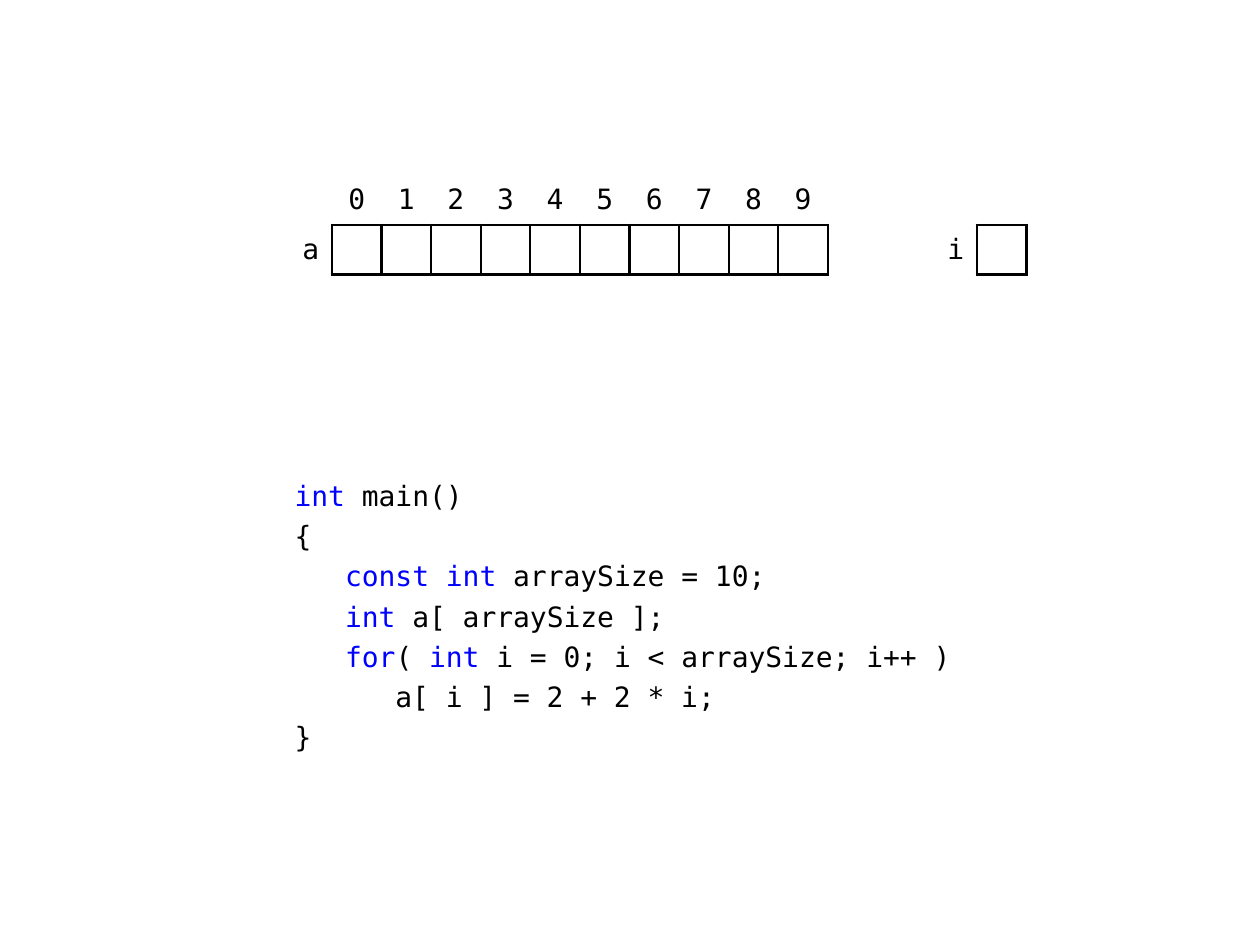
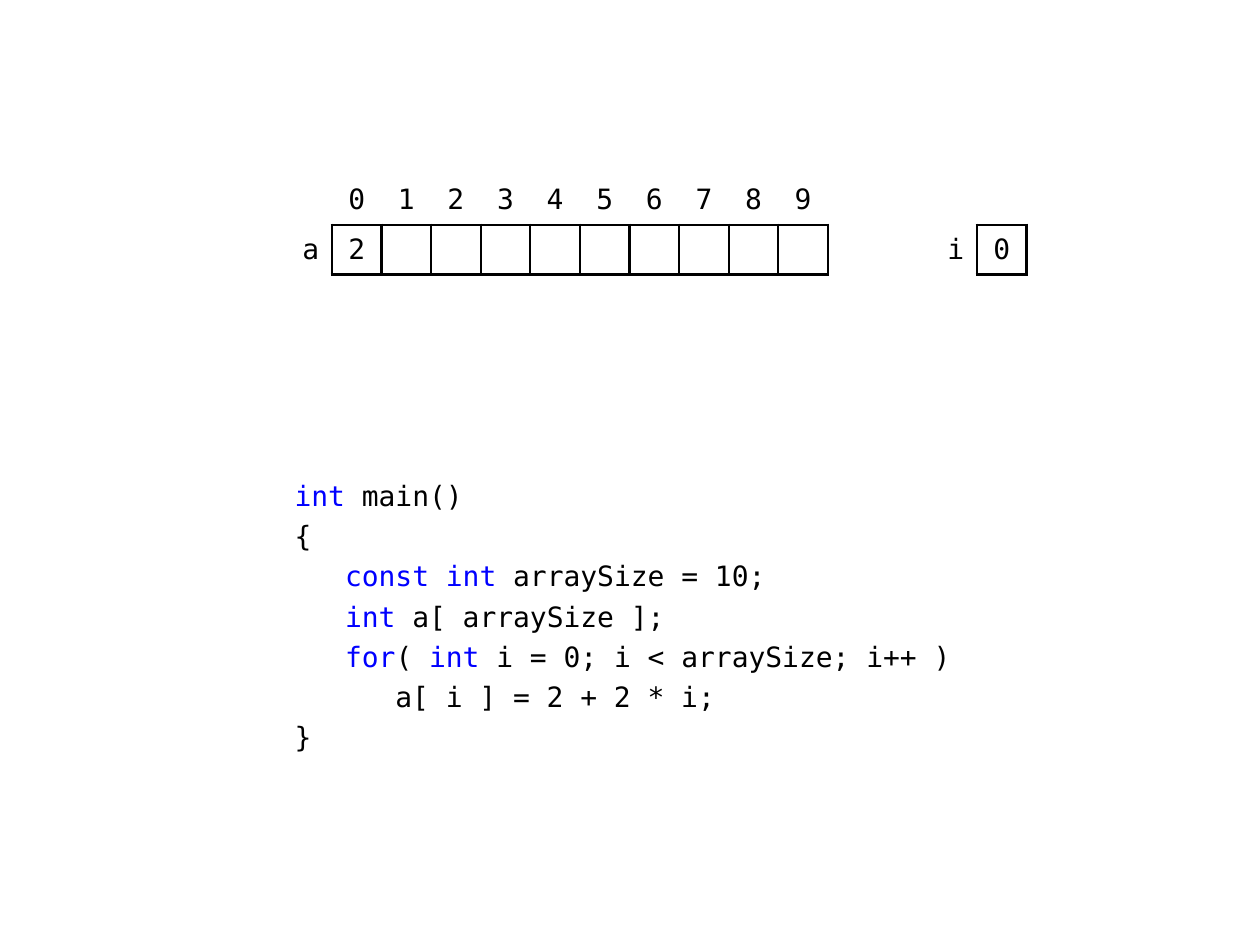
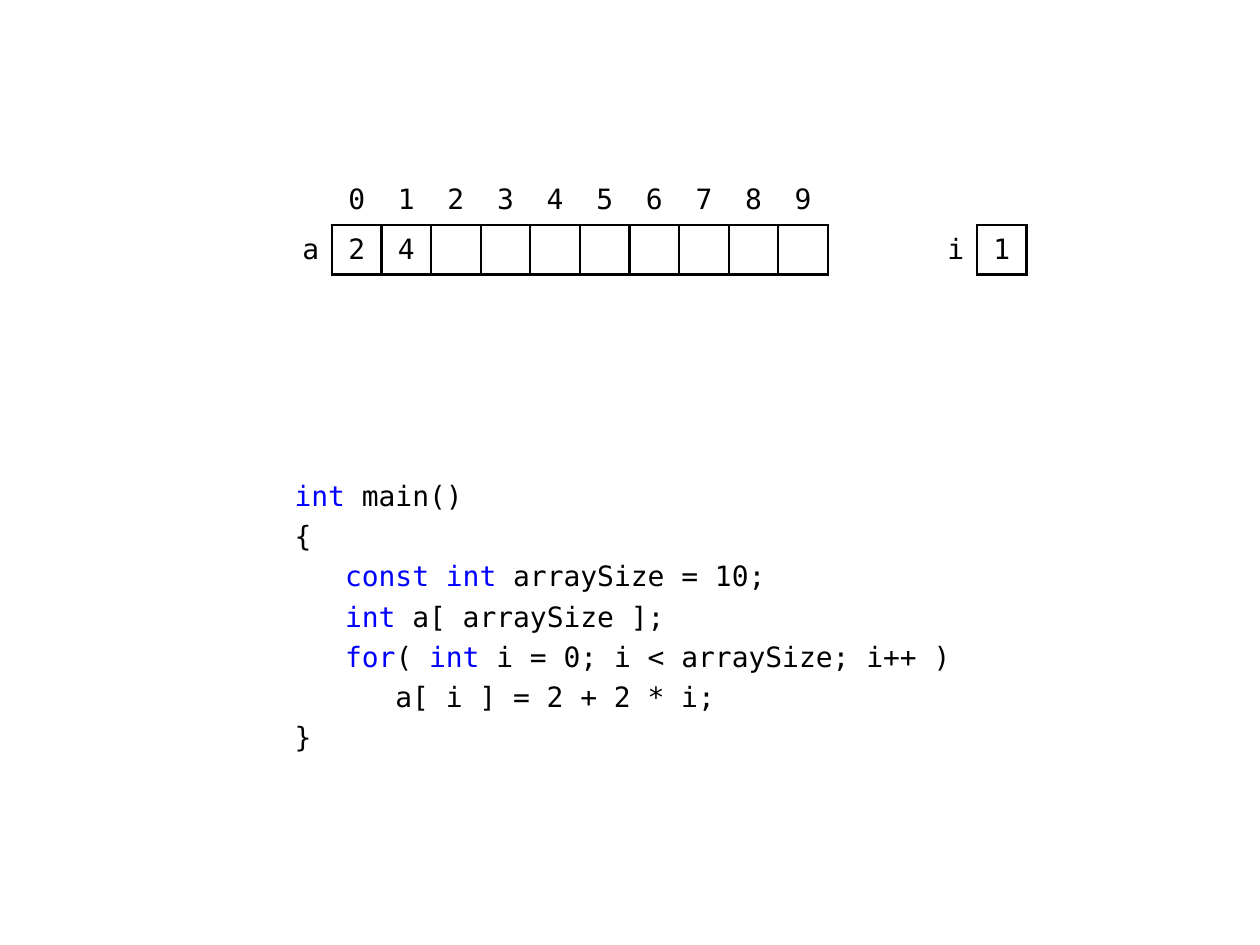
"""Three steps of filling an array in a loop."""
import pptx
import pptx.dml.color
import pptx.enum.text
import pptx.oxml
import pptx.oxml.ns
import pptx.util

Inches = pptx.util.Inches
Pt = pptx.util.Pt
ALIGN = pptx.enum.text.PP_ALIGN

COLORS = {"text": "000000", "key": "0000FF"}
FONT = "DejaVu Sans Mono"
LEFT = 2.24
SIZE = 10           # elements in the array
UNIT = 5.91 / 15    # side of one square cell
GAP = 3             # width of the "i" label column, in units
LABEL, BOX = SIZE + 1, SIZE + 2
NO_GRID = "{2D5ABB26-0587-4C30-8999-92F81FD0307C}"

# Indent level and text; keywords stand between tildes.
CODE = [
    (0, "~int~ main()"),
    (0, "{"),
    (1, "~const int~ arraySize = 10;"),
    (1, "~int~ a[ arraySize ];"),
    (1, "~for~( ~int~ i = 0; i < arraySize; i++ )"),
    (2, "a[ i ] = 2 + 2 * i;"),
    (0, "}"),
]


def rgb(name):
    """Return a colour of the palette."""
    return pptx.dml.color.RGBColor.from_string(COLORS[name])


def style(para):
    """Give a paragraph the shared font."""
    para.font.name = FONT
    para.font.size = Pt(16)
    para.font.color.rgb = rgb("text")


def add_code(slide):
    """Add the listing with coloured keywords."""
    box = slide.shapes.add_textbox(
        Inches(LEFT), Inches(3.75), Inches(5.51), Inches(2.36))
    frame = box.text_frame
    frame.word_wrap = True
    for row, (level, line) in enumerate(CODE):
        para = frame.add_paragraph() if row else frame.paragraphs[0]
        style(para)
        para.space_before = Pt(3.75)
        para._p.get_or_add_pPr().set("marL", str(Inches(0.4 * level)))
        for part, text in enumerate(line.split("~")):
            if text:
                run = para.add_run()
                run.text = text
                run.font.color.rgb = rgb("key" if part % 2 else "text")


def add_edges(cell, sides):
    """Draw the named sides (L, R, T, B) of a cell."""
    props = cell._tc.get_or_add_tcPr()
    for spot, side in enumerate(sides):
        props.insert(spot, pptx.oxml.parse_xml(
            f'<a:ln{side} {pptx.oxml.ns.nsdecls("a")} w="{Pt(1.5)}">'
            f'<a:solidFill><a:srgbClr val="{COLORS["text"]}"/></a:solidFill>'
            f'</a:ln{side}>'))


def set_cell(cell, text, align, inset, sides):
    """Set the text, margins and borders of a cell."""
    cell.text = text
    cell.vertical_anchor = pptx.enum.text.MSO_ANCHOR.MIDDLE
    cell.margin_left = cell.margin_right = Inches(inset)
    cell.margin_top = cell.margin_bottom = 0
    cell.fill.background()
    para = cell.text_frame.paragraphs[0]
    para.alignment = align
    style(para)
    add_edges(cell, sides)


def add_memory(slide, values, index):
    """Add the array a and the counter i as one table."""
    table = slide.shapes.add_table(
        2, BOX + 1, Inches(LEFT), Inches(1.39),
        Inches(15 * UNIT), Inches(2 * UNIT)).table
    table.first_row = table.horz_banding = False
    table._tbl.tblPr.find(pptx.oxml.ns.qn("a:tableStyleId")).text = NO_GRID
    for row in table.rows:
        row.height = Inches(UNIT)
    heads = ["", *map(str, range(SIZE)), "", ""]
    cells = ["a", *map(str, values), *[""] * (SIZE - len(values)), "i", index]
    for col, (head, text) in enumerate(zip(heads, cells)):
        table.columns[col].width = Inches(UNIT * (GAP if col == LABEL else 1))
        label = col in (0, LABEL)
        sides = {0: "R", LABEL: "LR"}.get(col, "LRTB")
        align = ALIGN.RIGHT if label else ALIGN.CENTER
        inset = 0.1 if label or col == BOX else 0.04
        set_cell(table.cell(0, col), head, ALIGN.CENTER, 0.04,
                 "" if label else "B")
        set_cell(table.cell(1, col), text, align, inset, sides)


def main():
    """Build one slide for each step of the loop."""
    deck = pptx.Presentation()
    deck.slide_width, deck.slide_height = Inches(10), Inches(7.5)
    for step in range(3):
        slide = deck.slides.add_slide(deck.slide_layouts[6])
        add_code(slide)
        values = [2 + 2 * i for i in range(step)]
        add_memory(slide, values, str(step - 1) if step else "")
    deck.save("out.pptx")


main()
